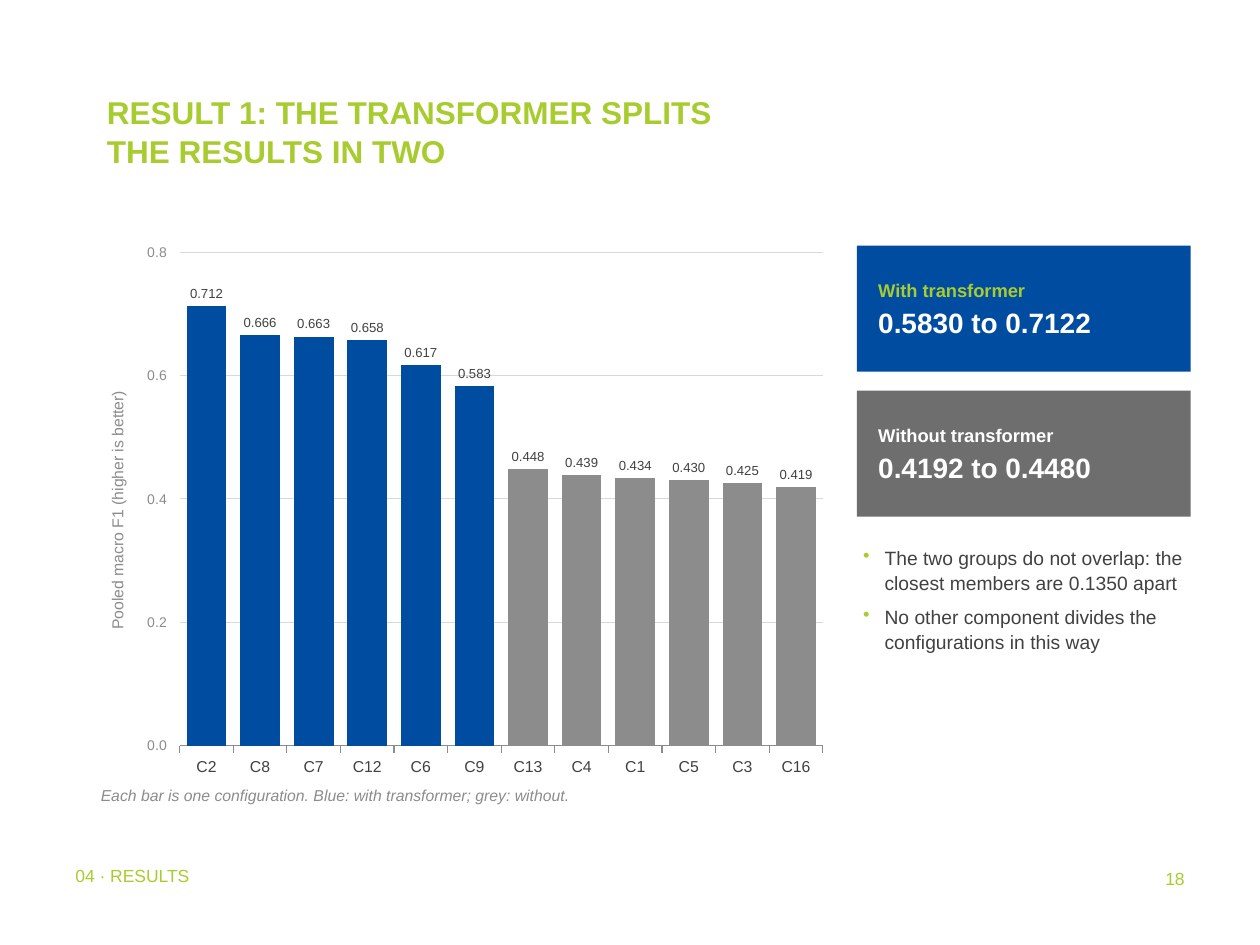
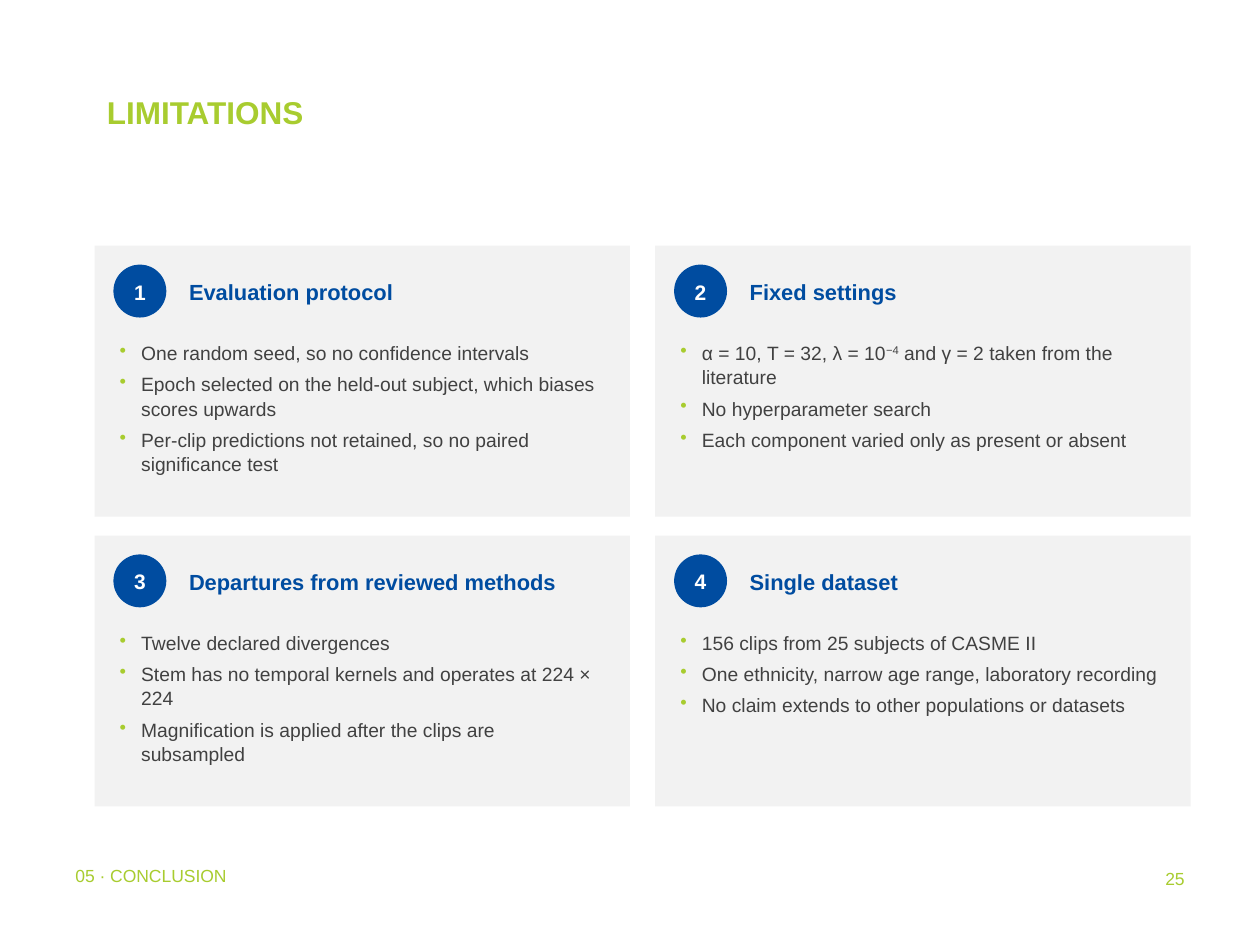
import dataclasses
import typing

import lxml.etree
import pptx
import pptx.chart.data
import pptx.dml.color
import pptx.enum.chart
import pptx.enum.shapes
import pptx.enum.text
import pptx.oxml.ns
import pptx.util

FONT = "Arial"
COLORS = {
    "lime": "A8CC2F",
    "blue": "004CA0",
    "grey": "8C8C8C",
    "slate": "6E6E6E",
    "text": "414141",
    "panel": "F2F2F2",
    "grid": "D9D9D9",
    "white": "FFFFFF",
}

prs = pptx.Presentation()
prs.slide_width = pptx.util.Inches(10)
prs.slide_height = pptx.util.Inches(7.5)
COL = prs.slide_width / 100
ROW = prs.slide_height / 75

LEFT, RIGHT, TOP = 7.5, 94.5, 19.5
GAP = 1.5
RECT = pptx.enum.shapes.MSO_SHAPE.RECTANGLE
OVAL = pptx.enum.shapes.MSO_SHAPE.OVAL
ALIGN = pptx.enum.text.PP_ALIGN
MIDDLE = pptx.enum.text.MSO_ANCHOR.MIDDLE


@dataclasses.dataclass(frozen=True)
class Box:
    col: float
    row: float
    cols: float
    rows: float

    def emu(self) -> tuple[int, ...]:
        return (round(self.col * COL), round(self.row * ROW),
                round(self.cols * COL), round(self.rows * ROW))

    def inner(self, dx: float, dy: float, cols: float, rows: float) -> "Box":
        return Box(self.col + dx, self.row + dy, cols, rows)


@dataclasses.dataclass(frozen=True)
class Line:
    text: str
    size: float
    color: str
    after: float = 0
    bold: bool = False
    italic: bool = False
    bullet: bool = False
    align: typing.Any = ALIGN.LEFT


@dataclasses.dataclass(frozen=True)
class Stat:
    label: str
    value: str
    fill: str
    label_color: str


@dataclasses.dataclass(frozen=True)
class Card:
    heading: str
    points: tuple[str, ...]


STATS = [
    Stat("With transformer", "0.5830 to 0.7122", "blue", "lime"),
    Stat("Without transformer", "0.4192 to 0.4480", "slate", "white"),
]
FINDINGS = (
    "The two groups do not overlap: the closest members are 0.1350 apart",
    "No other component divides the configurations in this way",
)
WITH_TRANSFORMER = {"C2": 0.712, "C8": 0.666, "C7": 0.663,
                    "C12": 0.658, "C6": 0.617, "C9": 0.583}
WITHOUT_TRANSFORMER = {"C13": 0.448, "C4": 0.439, "C1": 0.434,
                       "C5": 0.43, "C3": 0.425, "C16": 0.419}
CARDS = [
    Card("Evaluation protocol", (
        "One random seed, so no confidence intervals",
        "Epoch selected on the held-out subject, which biases scores upwards",
        "Per-clip predictions not retained, so no paired significance test",
    )),
    Card("Fixed settings", (
        "α = 10, T = 32, λ = 10^−4^ and γ = 2 taken from the literature",
        "No hyperparameter search",
        "Each component varied only as present or absent",
    )),
    Card("Departures from reviewed methods", (
        "Twelve declared divergences",
        "Stem has no temporal kernels and operates at 224 × 224",
        "Magnification is applied after the clips are subsampled",
    )),
    Card("Single dataset", (
        "156 clips from 25 subjects of CASME II",
        "One ethnicity, narrow age range, laboratory recording",
        "No claim extends to other populations or datasets",
    )),
]


def rgb(name: str) -> pptx.dml.color.RGBColor:
    return pptx.dml.color.RGBColor.from_string(COLORS[name])


def style(font, size: float, color: str, bold: bool = False, italic: bool = False) -> None:
    font.name = FONT
    font.size = pptx.util.Pt(size)
    font.bold = bold
    font.italic = italic
    font.color.rgb = rgb(color)


def add_bullet(p) -> None:
    qn = pptx.oxml.ns.qn
    pPr = p._p.get_or_add_pPr()
    indent = pptx.util.Inches(0.17)
    pPr.set("marL", str(indent))
    pPr.set("indent", str(-indent))
    color = lxml.etree.SubElement(pPr, qn("a:buClr"))
    lxml.etree.SubElement(color, qn("a:srgbClr")).set("val", COLORS["lime"])
    lxml.etree.SubElement(pPr, qn("a:buChar")).set("char", "•")


def write(tf, lines: typing.Sequence[Line], *, inset: tuple[float, float] = (0.05, 0.03),
          anchor=pptx.enum.text.MSO_ANCHOR.TOP) -> None:
    tf.word_wrap = True
    tf.vertical_anchor = anchor
    tf.margin_left = tf.margin_right = pptx.util.Inches(inset[0])
    tf.margin_top = tf.margin_bottom = pptx.util.Inches(inset[1])
    for i, line in enumerate(lines):
        p = tf.add_paragraph() if i else tf.paragraphs[0]
        p.alignment = line.align
        p.line_spacing = 1.05
        p.space_after = pptx.util.Pt(line.after)
        if line.bullet:
            add_bullet(p)
        for j, part in enumerate(line.text.split("^")):
            r = p.add_run()
            r.text = part
            style(r.font, line.size, line.color, line.bold, line.italic)
            if j % 2:
                r.font._element.set("baseline", "30000")


def add_text(slide, box: Box, *lines: Line, **fmt) -> None:
    write(slide.shapes.add_textbox(*box.emu()).text_frame, lines, **fmt)


def add_block(slide, kind, box: Box, fill: str):
    sp = slide.shapes.add_shape(kind, *box.emu())
    sp.shadow.inherit = False
    sp.fill.solid()
    sp.fill.fore_color.rgb = rgb(fill)
    sp.line.fill.background()
    return sp


def bullets(points: typing.Iterable[str], after: float) -> list[Line]:
    return [Line(point, 11, "text", after, bullet=True) for point in points]


def add_page(title: str, section: str, number: int):
    slide = prs.slides.add_slide(prs.slide_layouts[6])
    add_text(slide, Box(LEFT, 6.7, 54.2, 12.5), Line(title, 18, "lime", bold=True),
             inset=(0.1, 0.05))
    add_text(slide, Box(5, 68.3, 56.7, 4), Line(section, 10, "lime"), inset=(0.1, 0.03))
    add_text(slide, Box(74.2, 68.3, 20.8, 5),
             Line(str(number), 10, "lime", align=ALIGN.RIGHT), inset=(0.1, 0.05))
    return slide


def add_f1_chart(slide, box: Box) -> None:
    enum = pptx.enum.chart
    scores = WITH_TRANSFORMER | WITHOUT_TRANSFORMER
    data = pptx.chart.data.CategoryChartData()
    data.categories = list(scores)
    data.add_series("Series 1", list(scores.values()))
    chart = slide.shapes.add_chart(enum.XL_CHART_TYPE.COLUMN_CLUSTERED, *box.emu(), data).chart
    chart.has_legend = chart.has_title = False
    style(chart.font, 9, "text")

    plot = chart.plots[0]
    plot.gap_width = 35
    plot.vary_by_categories = False
    series = plot.series[0]
    series.format.fill.solid()
    series.format.fill.fore_color.rgb = rgb("blue")
    for i, name in enumerate(scores):
        fill = series.points[i].format.fill
        fill.solid()
        fill.fore_color.rgb = rgb("blue" if name in WITH_TRANSFORMER else "grey")
    labels = series.data_labels
    labels.show_value = True
    labels.position = enum.XL_LABEL_POSITION.OUTSIDE_END
    labels.number_format = "0.000"
    labels.number_format_is_linked = False
    style(labels.font, 7.5, "text")

    cat = chart.category_axis
    cat.tick_label_position = enum.XL_TICK_LABEL_POSITION.LOW
    cat.format.line.color.rgb = rgb("grey")
    cat.format.line.width = pptx.util.Pt(0.75)
    style(cat.tick_labels.font, 9, "text")

    val = chart.value_axis
    val.minimum_scale, val.maximum_scale, val.major_unit = 0, 0.8, 0.2
    val.format.line.fill.background()
    val.major_gridlines.format.line.color.rgb = rgb("grid")
    val.major_gridlines.format.line.width = pptx.util.Pt(0.5)
    val.tick_labels.number_format = "0.0"
    val.tick_labels.number_format_is_linked = False
    style(val.tick_labels.font, 8, "grey")
    r = val.axis_title.text_frame.paragraphs[0].add_run()
    r.text = "Pooled macro F1 (higher is better)"
    style(r.font, 9, "grey")


def add_stat(slide, stat: Stat, box: Box) -> None:
    add_block(slide, RECT, box, stat.fill)
    add_text(slide, box.inner(1.2, 0, box.cols - 2, box.rows),
             Line(stat.label, 10.5, stat.label_color, 2, bold=True),
             Line(stat.value, 16, "white", 3, bold=True), anchor=MIDDLE)


def add_card(slide, number: int, card: Card, box: Box) -> None:
    add_block(slide, RECT, box, "panel")
    badge = add_block(slide, OVAL, box.inner(1.5, 1.5, 4.2, 4.2), "blue")
    write(badge.text_frame, [Line(str(number), 12, "white", bold=True, align=ALIGN.CENTER)],
          inset=(0, 0), anchor=MIDDLE)
    add_text(slide, box.inner(7, 1.2, box.cols - 8, 4.8),
             Line(card.heading, 12.5, "blue", bold=True), anchor=MIDDLE)
    add_text(slide, box.inner(1.5, 7.2, box.cols - 3, 14), *bullets(card.points, 4))


def build_result() -> None:
    slide = add_page("RESULT 1: THE TRANSFORMER SPLITS THE RESULTS IN TWO", "04 · RESULTS", 18)
    add_f1_chart(slide, Box(6.5, 18.5, 60, 44))
    add_text(slide, Box(LEFT, 62, 59, 3),
             Line("Each bar is one configuration. Blue: with transformer; grey: without.",
                  9, "grey", 3, italic=True))
    width, height = 26.5, 10
    side = Box(RIGHT - width, TOP, width, height)
    for i, stat in enumerate(STATS):
        add_stat(slide, stat, side.inner(0, i * (height + GAP), width, height))
    add_text(slide, side.inner(0, 23.5, width, 22), *bullets(FINDINGS, 6))


def build_limitations() -> None:
    slide = add_page("LIMITATIONS", "05 · CONCLUSION", 25)
    gutter = 2
    width, height = (RIGHT - LEFT - gutter) / 2, 21.5
    for i, card in enumerate(CARDS):
        row, col = divmod(i, 2)
        add_card(slide, i + 1, card, Box(LEFT + col * (width + gutter),
                                         TOP + row * (height + GAP), width, height))


def main() -> None:
    build_result()
    build_limitations()
    prs.save("out.pptx")


if __name__ == "__main__":
    main()
